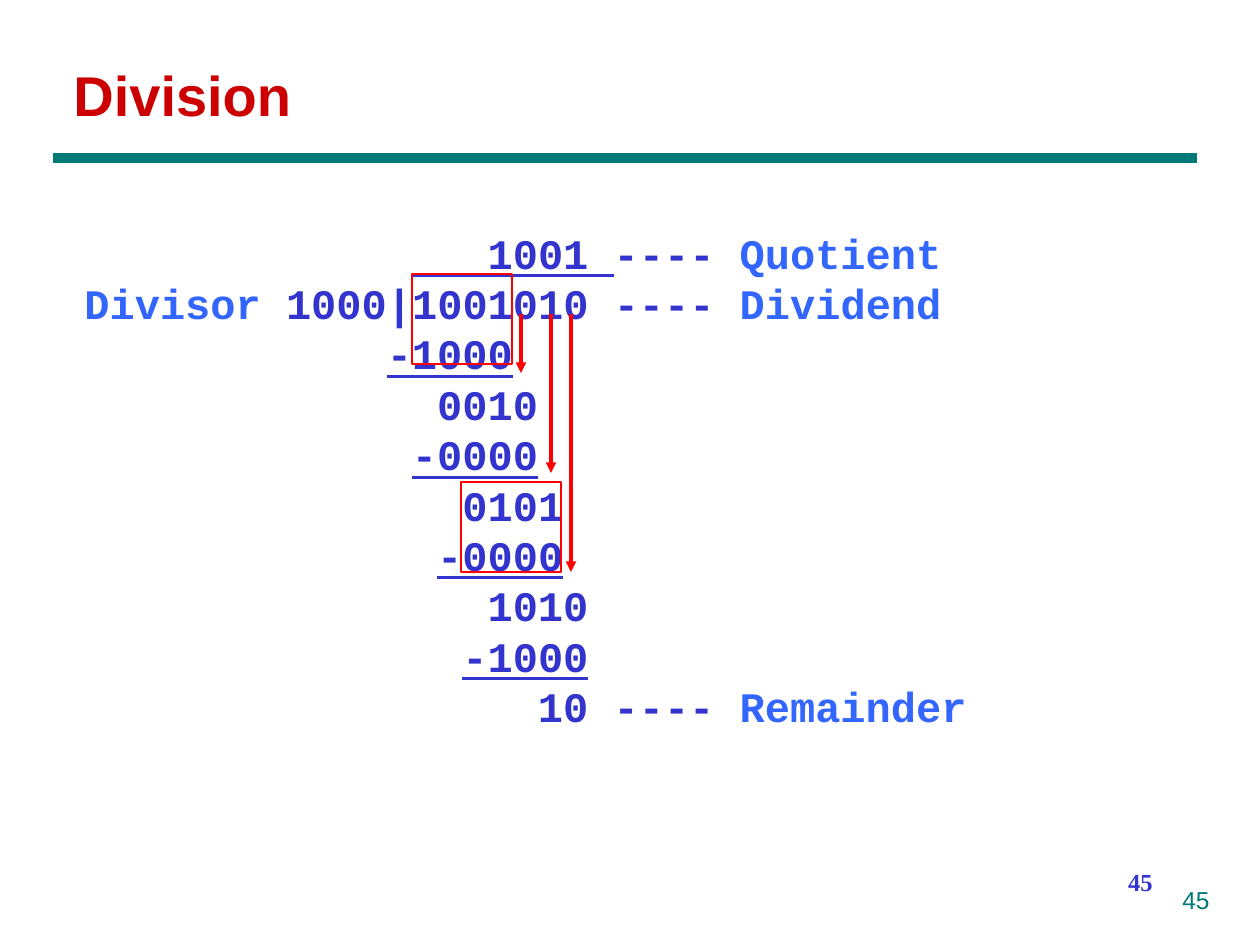
from lxml import etree
from pptx import Presentation
from pptx.dml.color import RGBColor
from pptx.enum.shapes import MSO_CONNECTOR, MSO_SHAPE
from pptx.enum.text import MSO_ANCHOR, PP_ALIGN
from pptx.oxml.ns import qn
from pptx.util import Pt

PX = 914400 // 126
TEAL = RGBColor(0x00, 0x7A, 0x77)
CRIMSON = RGBColor(0xCC, 0x00, 0x00)
RED = RGBColor(0xFF, 0x00, 0x00)
INDIGO = RGBColor(0x33, 0x33, 0xCD)
BLUE = RGBColor(0x33, 0x66, 0xFF)

DIGIT_SIZE = 24
DIGIT_WIDTH = 0.6 * DIGIT_SIZE

# Each row: columns of indent, then (text, colour, underlined) runs.
DIVISION_ROWS = [
    (13, [("   1001 ", INDIGO, True), ("---- ", INDIGO, False), ("Quotient", BLUE, False)]),
    (0, [("Divisor", BLUE, False), (" 1000|1001010 ---- ", INDIGO, False),
         ("Dividend", BLUE, False)]),
    (12, [("-1000", INDIGO, True)]),
    (14, [("0010", INDIGO, False)]),
    (13, [("-0000", INDIGO, True)]),
    (15, [("0101", INDIGO, False)]),
    (14, [("-0000", INDIGO, True)]),
    (16, [("1010", INDIGO, False)]),
    (15, [("-1000", INDIGO, True)]),
    (18, [("10 ---- ", INDIGO, False), ("Remainder", BLUE, False)]),
]


def add_box(slide, left, top, width, height, wrap=True):
    """Add an empty text box and return its text frame."""
    frame = slide.shapes.add_textbox(left * PX, top * PX, width * PX, height * PX).text_frame
    frame.word_wrap = wrap
    frame.vertical_anchor = MSO_ANCHOR.TOP
    return frame


def add_run(paragraph, text, font, size, color, bold=False, underline=False):
    """Append one formatted run to a paragraph."""
    run = paragraph.add_run()
    run.text = text
    run.font.name = font
    run.font.size = Pt(size)
    run.font.color.rgb = color
    run.font.bold = bold
    run.font.underline = underline


def add_line(slide, start, end, color, weight, arrow=False):
    """Draw a straight line between two points, with an optional arrowhead."""
    line = slide.shapes.add_connector(
        MSO_CONNECTOR.STRAIGHT, *(value * PX for value in (*start, *end)))
    line.line.color.rgb = color
    line.line.width = Pt(weight)
    if arrow:
        etree.SubElement(line.line._get_or_add_ln(), qn("a:tailEnd"), type="triangle")
    etree.SubElement(line._element.spPr, qn("a:effectLst"))


def add_header(slide, left, top, width):
    """Place the title and the teal rule below it."""
    title = add_box(slide, left + 8, top, 244, 81, wrap=False)
    add_run(title.paragraphs[0], "Division", "Arial", 32, CRIMSON, bold=True)
    add_line(slide, (left, top + 104), (left + width, top + 104), TEAL, 6)


def add_division(slide, left, top, width, height):
    """Place the worked division with its bring-down arrows and frames."""
    frame = add_box(slide, left, top, width, height)
    frame.margin_top = 12 * PX
    for index, (columns, runs) in enumerate(DIVISION_ROWS):
        paragraph = frame.paragraphs[0] if index == 0 else frame.add_paragraph()
        paragraph.line_spacing = Pt(1.2 * DIGIT_SIZE)
        properties = paragraph._p.get_or_add_pPr()
        properties.set("marL", str(Pt(columns * DIGIT_WIDTH)))
        properties.set("indent", "0")
        for text, color, underline in runs:
            add_run(paragraph, text, "Courier New", DIGIT_SIZE, color, True, underline)

    for x, length in ((449, 59), (479, 159), (499, 258)):
        add_line(slide, (left + x, top + 99), (left + x, top + 99 + length), RED, 2, arrow=True)

    for x, y in ((340, 59), (389, 267)):
        box = slide.shapes.add_shape(
            MSO_SHAPE.RECTANGLE, (left + x) * PX, (top + y) * PX, 100 * PX, 90 * PX)
        box.shadow.inherit = False
        box.fill.background()
        box.line.color.rgb = RED
        box.line.width = Pt(1)


def add_page_number(slide, left, top, width, height, font, color, bold):
    """Place a right-aligned page number."""
    paragraph = add_box(slide, left, top, width, height).paragraphs[0]
    paragraph.alignment = PP_ALIGN.RIGHT
    add_run(paragraph, "45", font, 14, color, bold)


def main():
    """Build and save the slide."""
    deck = Presentation()
    deck.slide_width, deck.slide_height = 1260 * PX, 945 * PX
    slide = deck.slides.add_slide(deck.slide_layouts[6])
    add_page_number(slide, 907, 879, 315, 66, "Arial", TEAL, False)
    add_page_number(slide, 903, 861, 262, 63, "Times New Roman", INDIGO, True)
    add_header(slide, 53, 54, 1144)
    add_division(slide, 72, 215, 915, 522)
    deck.save("out.pptx")


main()
